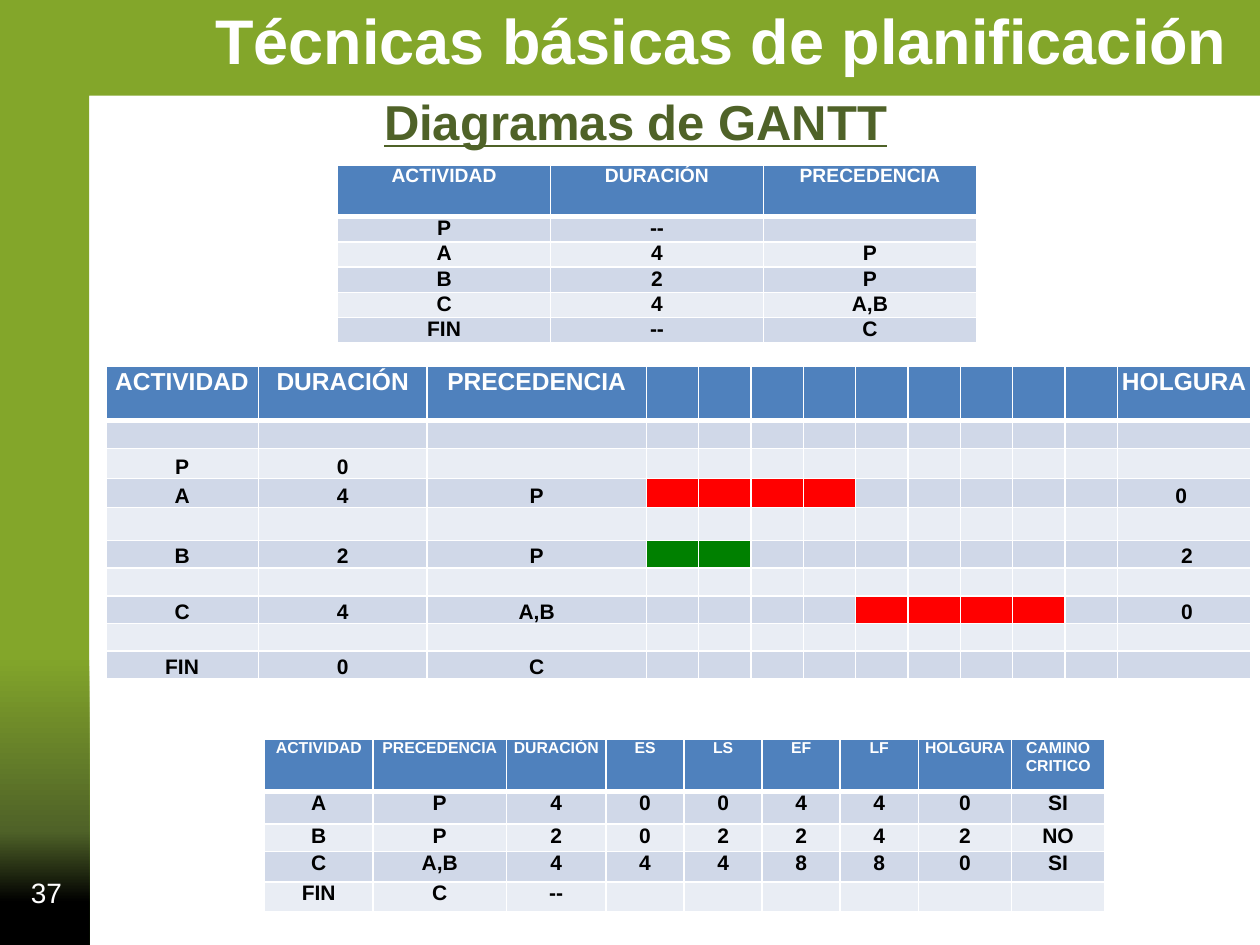
import pptx
import pptx.dml.color
import pptx.enum.shapes
import pptx.enum.text
import pptx.oxml
import pptx.oxml.ns
import pptx.util
from pptx.util import Inches

FONT = "Arial"
COLORS = {
    "white": "FFFFFF",
    "black": "000000",
    "green": "83A62A",
    "dark_green": "4F6228",
    "header": "4F81BD",
    "odd_row": "D0D8E8",
    "even_row": "E9EDF4",
    "critical": "FF0000",
    "slack": "008000",
}
FRAME_STOPS = [(0, "black"), (9, "black"), (24, "dark_green"), (61, "green"), (100, "green")]
PERIODS = 9
FIRST_PERIOD_COLUMN = 3

PRECEDENCE_ROWS = [
    ["ACTIVIDAD", "DURACIÓN", "PRECEDENCIA"],
    ["P", "--", ""],
    ["A", "4", "P"],
    ["B", "2", "P"],
    ["C", "4", "A,B"],
    ["FIN", "--", "C"],
]
GANTT_ROWS = [
    ["ACTIVIDAD", "DURACIÓN", "PRECEDENCIA", "HOLGURA"],
    ["", "", "", ""],
    ["P", "0", "", ""],
    ["A", "4", "P", "0 "],
    ["", "", "", ""],
    ["B", "2", "P", " 2"],
    ["", "", "", ""],
    ["C", "4", "A,B", " 0"],
    ["", "", "", ""],
    ["FIN", "0", "C", ""],
]
GANTT_BARS = [(3, 0, 4, "critical"), (5, 0, 2, "slack"), (7, 4, 4, "critical")]
TIMES_ROWS = [
    ["ACTIVIDAD", "PRECEDENCIA", "DURACIÓN", "ES", "LS", "EF", "LF", "HOLGURA", "CAMINO\nCRITICO"],
    ["A", "P", "4", "0", "0", "4", "4", "0", "SI"],
    ["B", "P", "2", "0", "2", "2", "4", "2", "NO"],
    ["C", "A,B", "4", "4", "4", "8", "8", "0", "SI"],
    ["FIN", "C", "--", "", "", "", "", "", ""],
]


def rgb(name):
    """Return the named colour."""
    return pptx.dml.color.RGBColor.from_string(COLORS[name])


def style_paragraph(paragraph, size, color, bold=False, underline=None):
    """Set the font of a whole paragraph."""
    paragraph.font.name = FONT
    paragraph.font.size = pptx.util.Pt(size)
    paragraph.font.bold = bold
    paragraph.font.underline = underline
    paragraph.font.color.rgb = rgb(color)


def add_frame(slide):
    """Draw the rotated corner that frames the slide, behind everything else."""
    frame = slide.shapes.add_shape(
        pptx.enum.shapes.MSO_SHAPE.CORNER,
        Inches(1.21), Inches(-1.29), Inches(7.54), Inches(10.04))
    frame.rotation = 90
    frame.adjustments[0] = 0.099
    frame.adjustments[1] = 0.106
    frame.shadow.inherit = False
    frame.line.fill.background()
    stops = "".join(
        f'<a:gs pos="{position * 1000}"><a:srgbClr val="{COLORS[color]}"/></a:gs>'
        for position, color in FRAME_STOPS)
    gradient = pptx.oxml.parse_xml(
        f'<a:gradFill {pptx.oxml.ns.nsdecls("a")} rotWithShape="0"><a:gsLst>{stops}</a:gsLst>'
        '<a:path path="rect"><a:fillToRect t="100000" r="100000"/></a:path></a:gradFill>')
    frame._element.spPr.find(pptx.oxml.ns.qn("a:prstGeom")).addnext(gradient)
    slide.shapes.title._element.addprevious(frame._element)


def fill_text(shape, text, size, color, alignment, **font):
    """Write one line of text into a shape."""
    text_frame = shape.text_frame
    text_frame.text = text
    text_frame.word_wrap = False
    text_frame.auto_size = pptx.enum.text.MSO_AUTO_SIZE.NONE
    text_frame.vertical_anchor = pptx.enum.text.MSO_ANCHOR.TOP
    paragraph = text_frame.paragraphs[0]
    paragraph.alignment = alignment
    style_paragraph(paragraph, size, color, **font)


def add_title(slide, text):
    """Move and format the title placeholder."""
    title = slide.shapes.title
    title.left, title.top = Inches(1.61), Inches(-0.04)
    title.width, title.height = Inches(8.31), Inches(0.71)
    fill_text(title, text, 36, "white", pptx.enum.text.PP_ALIGN.LEFT, bold=True)


def add_label(slide, box, text, size, color, alignment, **font):
    """Add a text box with one line."""
    label = slide.shapes.add_textbox(*map(Inches, box))
    fill_text(label, text, size, color, alignment, **font)


def add_borders(cell, row_index):
    """Draw white cell borders, with a thick rule below the header row."""
    widths = {"L": 1, "R": 1, "T": 1, "B": 1}
    if row_index == 0:
        widths["B"] = 3
    elif row_index == 1:
        widths["T"] = 3
    properties = cell._tc.get_or_add_tcPr()
    for side, width in widths.items():
        properties.append(pptx.oxml.parse_xml(
            f'<a:ln{side} {pptx.oxml.ns.nsdecls("a")} w="{pptx.util.Pt(width)}"><a:solidFill>'
            f'<a:srgbClr val="{COLORS["white"]}"/></a:solidFill></a:ln{side}>'))


def format_cell(cell, row_index, text, header_size, margins, body_anchor):
    """Write and format one table cell."""
    is_header = row_index == 0
    add_borders(cell, row_index)
    cell.margin_left, cell.margin_top, cell.margin_right, cell.margin_bottom = map(Inches, margins)
    cell.vertical_anchor = pptx.enum.text.MSO_ANCHOR.TOP if is_header else body_anchor
    cell.fill.solid()
    cell.fill.fore_color.rgb = rgb(
        "header" if is_header else "odd_row" if row_index % 2 else "even_row")
    cell.text = text
    for paragraph in cell.text_frame.paragraphs:
        paragraph.alignment = pptx.enum.text.PP_ALIGN.CENTER
        style_paragraph(paragraph, header_size if is_header else 12,
                        "white" if is_header else "black", bold=True)


def add_table(slide, position, widths, heights, rows, header_size,
              margins=(0.05, 0, 0.05, 0), body_anchor=pptx.enum.text.MSO_ANCHOR.TOP):
    """Add a banded table and return it."""
    table = slide.shapes.add_table(
        len(rows), len(widths), *map(Inches, position),
        Inches(sum(widths)), Inches(sum(heights))).table
    table.horz_banding = False
    for column, width in zip(table.columns, widths):
        column.width = Inches(width)
    for row_index, (texts, height) in enumerate(zip(rows, heights)):
        table.rows[row_index].height = Inches(height)
        for column_index, text in enumerate(texts):
            format_cell(table.cell(row_index, column_index), row_index, text,
                        header_size, margins, body_anchor)
    return table


def add_gantt(slide):
    """Add the Gantt table and colour its bars."""
    rows = [row[:FIRST_PERIOD_COLUMN] + [""] * PERIODS + row[FIRST_PERIOD_COLUMN:]
            for row in GANTT_ROWS]
    widths = [1.21, 1.34, 1.74] + [3.74 / PERIODS] * PERIODS + [1.06]
    heights = [0.43, 0.22, 0.24, 0.23, 0.26] + [0.22] * 5
    table = add_table(slide, (0.84, 2.91), widths, heights, rows, 14,
                      (0.01, 0.01, 0.01, 0), pptx.enum.text.MSO_ANCHOR.BOTTOM)
    for row_index, start, duration, color in GANTT_BARS:
        for period in range(start, start + duration):
            fill = table.cell(row_index, FIRST_PERIOD_COLUMN + period).fill
            fill.fore_color.rgb = rgb(color)


def main():
    """Build and save the slide."""
    presentation = pptx.Presentation()
    presentation.slide_width, presentation.slide_height = Inches(10), Inches(7.5)
    slide = presentation.slides.add_slide(presentation.slide_layouts[5])
    alignments = pptx.enum.text.PP_ALIGN
    add_frame(slide)
    add_title(slide, "Técnicas básicas de planificación")
    add_label(slide, (0.02, 6.9, 0.57, 0.4), "37", 16, "white", alignments.RIGHT)
    add_label(slide, (2.95, 0.68, 4.24, 0.57), "Diagramas de GANTT", 28, "dark_green",
              alignments.LEFT, bold=True, underline=True)
    add_table(slide, (2.68, 1.31), [1.69] * 3, [0.41] + [0.2] * 5, PRECEDENCE_ROWS, 11)
    add_gantt(slide)
    add_table(slide, (2.1, 5.87), [0.86, 1.06, 0.79] + [0.62] * 4 + [0.74] * 2,
              [0.41, 0.26, 0.22, 0.24, 0.24], TIMES_ROWS, 9)
    presentation.save("out.pptx")


if __name__ == "__main__":
    main()
